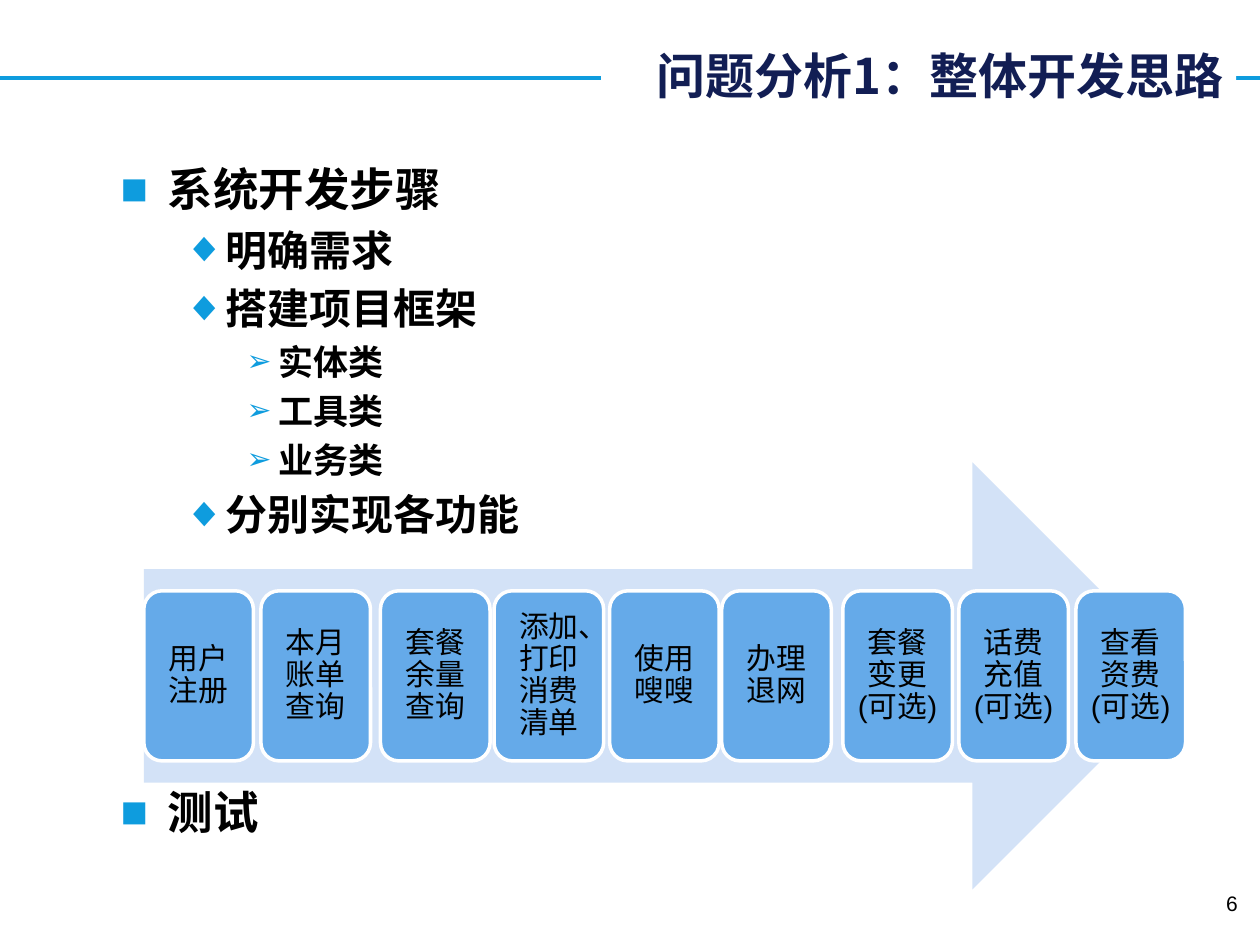
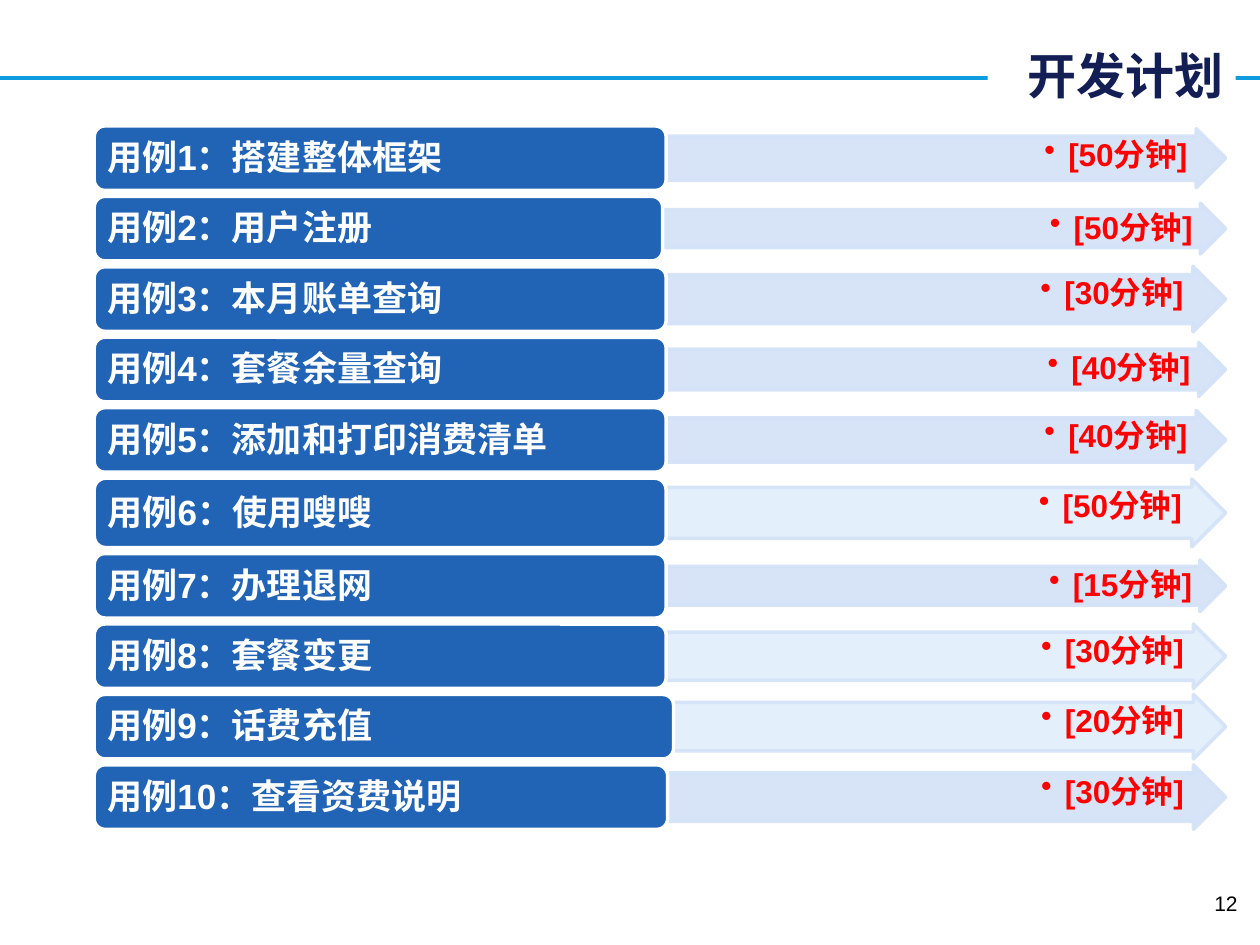
"""Build two slides: the overall development approach and the development plan."""
from lxml import etree
from pptx import Presentation
from pptx import util as u
from pptx.dml.color import RGBColor
from pptx.enum import shapes, text
from pptx.oxml import ns

rgb = RGBColor.from_string
SANS = "Noto Sans CJK SC"
BLUE, NAVY, PALE, WHITE, BLACK = "0E9CDE", "121E54", "D3E2F7", "FFFFFF", "000000"
LEFT, CENTER, RIGHT = text.PP_ALIGN.LEFT, text.PP_ALIGN.CENTER, text.PP_ALIGN.RIGHT
ARROW = shapes.MSO_SHAPE.RIGHT_ARROW
ROUND = shapes.MSO_SHAPE.ROUNDED_RECTANGLE


def box(slide, kind, at, fill, line=None, alpha=None):
    """Add a filled shape; at is left, top, width, height in cm."""
    sp = slide.shapes.add_shape(kind, *[u.Cm(v) for v in at])
    sp.shadow.inherit = False
    sp.fill.solid()
    sp.fill.fore_color.rgb = rgb(fill)
    if line:
        sp.line.color.rgb = rgb(line)
        sp.line.width = u.Pt(2)
    else:
        sp.line.fill.background()
    if alpha:
        for clr in sp._element.spPr.iter(ns.qn("a:srgbClr")):
            etree.SubElement(clr, ns.qn("a:alpha")).set("val", str(alpha * 1000))
    sp.text_frame.word_wrap = True
    return sp


def write(p, size, color, bold=False, align=LEFT, font="Arial", pitch=None, bullet=None):
    """Format a paragraph; bullet is character, colour, size percent, left and hang in cm."""
    p.alignment = align
    if pitch:
        p.line_spacing = u.Pt(pitch)
    for r in p.runs:
        r.font.size, r.font.bold, r.font.name = u.Pt(size), bold, font
        r.font.color.rgb = rgb(color)
        etree.SubElement(r.font._element, ns.qn("a:ea")).set("typeface", SANS)
    if bullet:
        char, tint, percent, left, hang = bullet
        pPr = p._p.get_or_add_pPr()
        pPr.set("marL", str(u.Cm(left)))
        pPr.set("indent", str(-u.Cm(hang)))
        clr = etree.SubElement(pPr, ns.qn("a:buClr"))
        etree.SubElement(clr, ns.qn("a:srgbClr")).set("val", tint)
        etree.SubElement(pPr, ns.qn("a:buSzPct")).set("val", str(percent * 1000))
        etree.SubElement(pPr, ns.qn("a:buChar")).set("char", char)


prs = Presentation()
prs.slide_width, prs.slide_height = u.Cm(25.4), u.Cm(19.05)

slides = []
for layout, title, left, width, number in [
    (1, "问题分析1：整体开发思路", 12.12, 12.8, "6"),
    (5, "开发计划", 19.91, 5.0, "12"),
]:
    s = prs.slides.add_slide(prs.slide_layouts[layout])
    sp = s.shapes.title
    sp.left, sp.top, sp.width, sp.height = [u.Cm(v) for v in (left, 0.79, width, 1.45)]
    sp.fill.solid()
    sp.fill.fore_color.rgb = rgb(WHITE)
    tf = sp.text_frame
    tf.text = title
    tf.auto_size = text.MSO_AUTO_SIZE.NONE
    tf.vertical_anchor = text.MSO_ANCHOR.MIDDLE
    write(tf.paragraphs[0], 28, NAVY, True, RIGHT, SANS)
    tf = s.shapes.add_textbox(u.Cm(19.28), u.Cm(17.83), u.Cm(5.92), u.Cm(1.02)).text_frame
    tf.word_wrap = True
    tf.text = number
    write(tf.paragraphs[0], 12, BLACK, align=RIGHT)
    slides.append(s)
approach, plan = slides

rule = approach.shapes.add_connector(
    shapes.MSO_CONNECTOR.STRAIGHT, 0, u.Cm(1.57), prs.slide_width, u.Cm(1.57))
rule.line.color.rgb = rgb(BLUE)
rule.line.width = u.Pt(2.25)
etree.SubElement(rule._element.spPr, ns.qn("a:effectLst"))
prs.slide_master.shapes.element.append(rule._element)

levels = [
    (26, ("■", BLUE, 100, 0.95, 0.95)),
    (24, ("◆", BLUE, 100, 2.06, 0.79)),
    (20, ("➢", BLUE, 85, 3.18, 0.64)),
]
outline = [
    (0, "系统开发步骤"), (1, "明确需求"), (1, "搭建项目框架"), (2, "实体类"),
    (2, "工具类"), (2, "业务类"), (1, "分别实现各功能"), (0, "测试"),
]
body = approach.placeholders[1]
body.left, body.top, body.width, body.height = [u.Cm(v) for v in (2.18, 3.12, 21.23, 15.42)]
tf = body.text_frame
tf.text = "\n".join(name for _, name in outline)
tf.auto_size = text.MSO_AUTO_SIZE.NONE
for p, (level, _) in zip(tf.paragraphs, outline):
    size, bullet = levels[level]
    p.level = level
    p.space_before = u.Pt(size * 0.2)
    write(p, size, BLACK, True, pitch=size * 1.2, bullet=bullet)
tf.paragraphs[-1].space_before = u.Pt(140)

box(approach, ARROW, (2.9, 9.32, 21.01, 8.61), PALE)
steps = [
    (2.9, "用户注册"), (5.26, "本月账单查询"), (7.67, "套餐余量查询"),
    (9.96, "添加、打印消费清单"), (12.29, "使用嗖嗖"), (14.55, "办理退网"),
    (16.99, "套餐变更(可选)"), (19.33, "话费充值(可选)"), (21.69, "查看资费(可选)"),
]
for left, step in steps:
    tf = box(approach, ROUND, (left, 11.91, 2.21, 3.43), "65AAE9", WHITE).text_frame
    tf.margin_left = tf.margin_right = tf.margin_top = tf.margin_bottom = u.Cm(0.17)
    tf.vertical_anchor = text.MSO_ANCHOR.MIDDLE
    tf.text = step
    write(tf.paragraphs[0], 17, BLACK, align=CENTER, pitch=18.3)

cases = [
    ("搭建整体框架", 50, 11.53, 1.19, False),
    ("用户注册", 50, 11.46, 1.02, False),
    ("本月账单查询", 30, 11.53, 1.32, False),
    ("套餐余量查询", 40, 11.53, 1.09, False),
    ("添加和打印消费清单", 40, 11.53, 1.19, False),
    ("使用嗖嗖", 50, 11.53, 1.37, True),
    ("办理退网", 15, 11.53, 1.04, False),
    ("套餐变更", 30, 11.53, 1.3, True),
    ("话费充值", 20, 11.68, 1.3, True),
    ("查看资费说明", 30, 11.56, 1.3, False),
]
left, top, right, gap = 1.9, 2.54, 24.71, 0.12
for i, (case, minutes, width, arrow_height, light) in enumerate(cases, 1):
    height = 1.4 if i == 6 else 1.3
    start = left + width
    at = (start, top + (height - arrow_height) / 2, right - start, arrow_height)
    sp = box(plan, ARROW, at, "E0EEFB" if light else PALE, PALE, 90)
    sp.adjustments[0] = 0.75
    tf = sp.text_frame
    tf.margin_left = tf.margin_top = tf.margin_bottom = u.Cm(0.03)
    tf.margin_right = u.Cm(arrow_height / 4 + 0.03)
    tf.vertical_anchor = text.MSO_ANCHOR.TOP
    tf.text = f"[{minutes}分钟]"
    write(tf.paragraphs[0], 18, "FF0000", True, RIGHT, pitch=20,
          bullet=("•", "FF0000", 100, 0.48, 0.48))

    tf = box(plan, ROUND, (left, top, width, height), "2163B4", WHITE).text_frame
    tf.margin_left = tf.margin_right = u.Cm(0.2)
    tf.margin_top = tf.margin_bottom = u.Cm(0.1)
    tf.vertical_anchor = text.MSO_ANCHOR.MIDDLE
    tf.text = f"用例{i}：{case}"
    write(tf.paragraphs[0], 20, WHITE, True, pitch=22)
    top += height + gap

prs.save("out.pptx")
